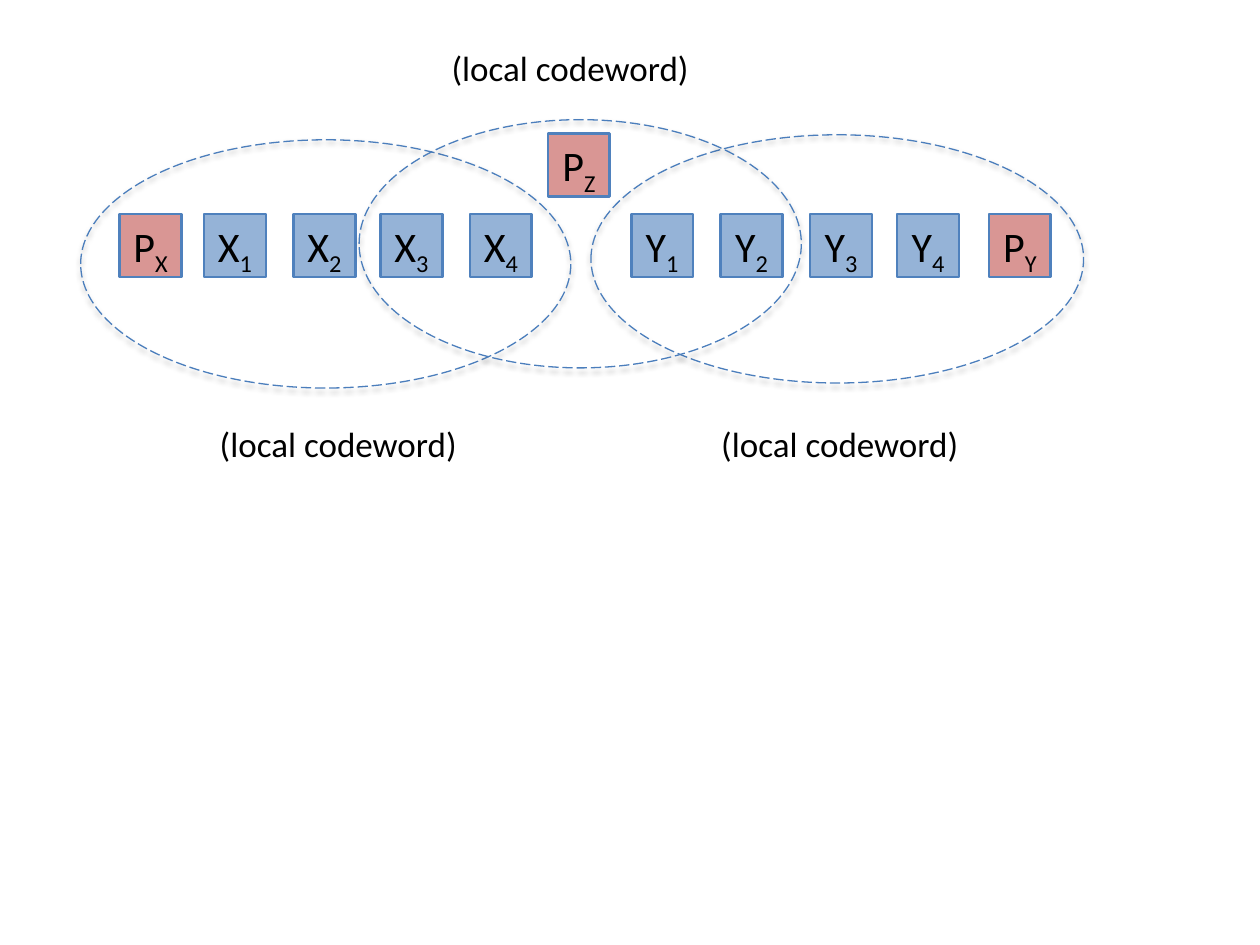
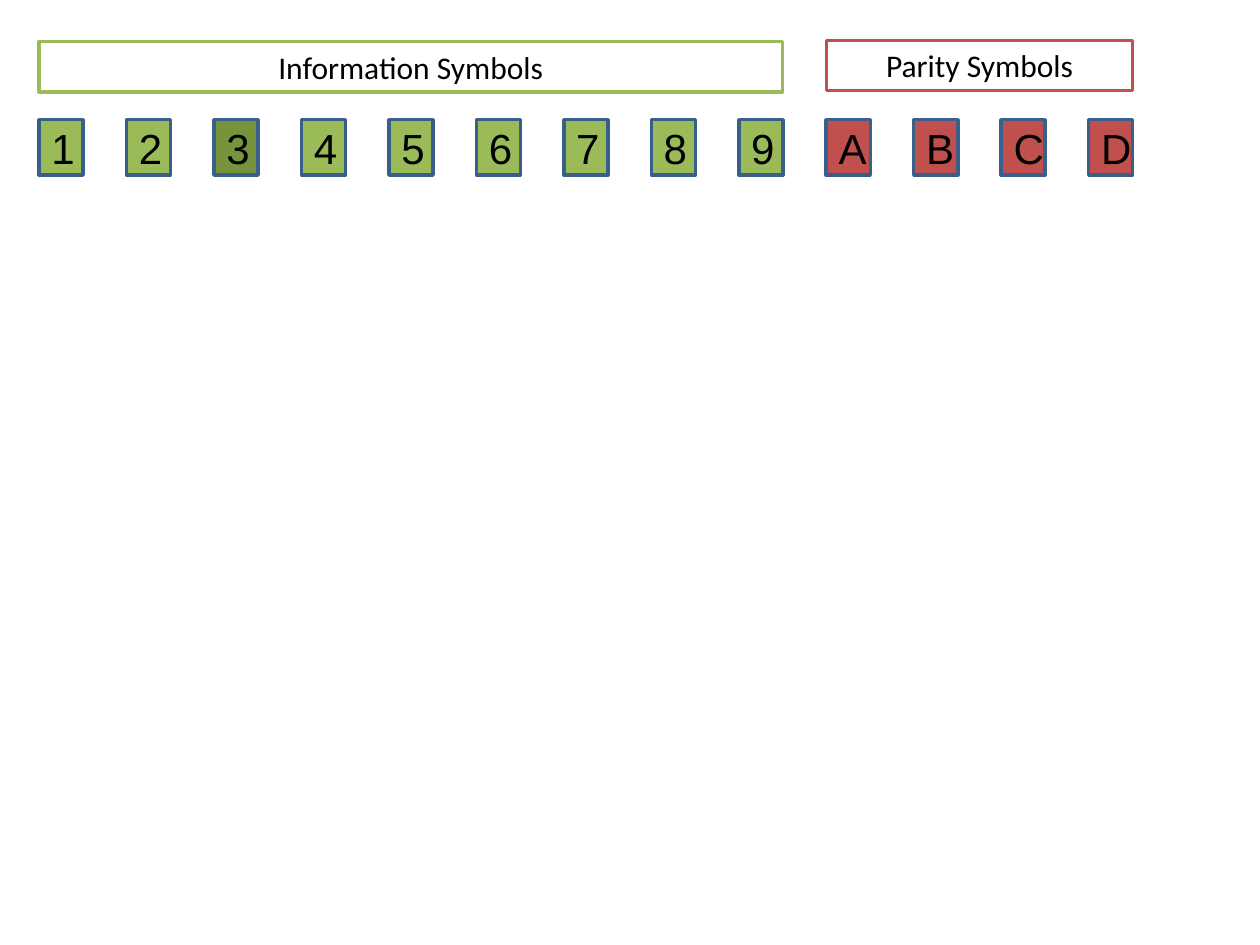
from lxml import etree
from pptx import Presentation
from pptx.dml.color import RGBColor
from pptx.enum import dml, shapes, text
from pptx.oxml.ns import qn
from pptx.util import Inches, Pt

COLORS = {
    "text": "000000",
    "white": "FFFFFF",
    "data": "95B3D7",
    "local_parity": "D99694",
    "box_line": "4F81BD",
    "codeword_line": "4B7EBC",
    "information": "9BBB59",
    "highlight": "77933C",
    "parity": "C0504D",
    "symbol_line": "3A5F8B",
}


def color(name):
    return RGBColor.from_string(COLORS[name])


def write_text(shape, content, subscript="", size=24, font="Calibri",
               align=text.PP_ALIGN.CENTER, anchor=text.MSO_ANCHOR.TOP,
               wrap=True, grow=False):
    frame = shape.text_frame
    frame.word_wrap = wrap
    frame.vertical_anchor = anchor
    if grow:
        frame.auto_size = text.MSO_AUTO_SIZE.SHAPE_TO_FIT_TEXT
    paragraph = frame.paragraphs[0]
    paragraph.alignment = align
    for part, baseline in ((content, None), (subscript, "-25000")):
        if not part:
            continue
        run = paragraph.add_run()
        run.text = part
        run.font.size = Pt(size)
        run.font.name = font
        run.font.color.rgb = color("text")
        if baseline:
            run.font._element.set("baseline", baseline)


def add_outlined(target, kind, left, top, width, height, fill, line, weight):
    shape = target.shapes.add_shape(
        kind, Inches(left), Inches(top), Inches(width), Inches(height))
    shape.shadow.inherit = False
    if fill:
        shape.fill.solid()
        shape.fill.fore_color.rgb = color(fill)
    else:
        shape.fill.background()
    shape.line.color.rgb = color(line)
    shape.line.width = Pt(weight)
    return shape


def add_rectangle(target, left, top, width, height, fill, line, weight=2):
    return add_outlined(target, shapes.MSO_SHAPE.RECTANGLE,
                        left, top, width, height, fill, line, weight)


def add_block(target, left, top, letter, subscript):
    fill = "local_parity" if letter == "P" else "data"
    block = add_rectangle(target, left, top, 0.49, 0.5, fill, "box_line", 1.5)
    write_text(block, letter, subscript, wrap=False, grow=True)


def add_codeword(target, left, top, width):
    ellipse = add_outlined(target, shapes.MSO_SHAPE.OVAL, left, top, width, 1.97,
                           None, "codeword_line", 0.75)
    ellipse.line.dash_style = dml.MSO_LINE.LONG_DASH
    effects = ellipse._element.spPr.find(qn("a:effectLst"))
    shadow = etree.SubElement(
        effects, qn("a:outerShdw"), blurRad=str(Pt(3.1)), dist=str(Pt(1.8)),
        dir="5400000", rotWithShape="0")
    shade = etree.SubElement(shadow, qn("a:srgbClr"), val=COLORS["text"])
    etree.SubElement(shade, qn("a:alpha"), val="35000")


def add_label(target, left, top, width):
    label = target.shapes.add_textbox(
        Inches(left), Inches(top), Inches(width), Inches(0.68))
    write_text(label, "(local codeword)", size=20)


def build_codewords(slide):
    group = slide.shapes.add_group_shape()
    add_label(group, 1.23, 3.3, 2.91)
    blocks = (
        ("PX", 0.95), ("X1", 1.62), ("X2", 2.33), ("X3", 3.02), ("X4", 3.73),
        ("Y1", 5.01), ("Y2", 5.72), ("Y3", 6.43), ("Y4", 7.12), ("PY", 7.85),
    )
    for (letter, subscript), left in blocks:
        add_block(group, left, 1.7, letter, subscript)
    add_codeword(group, 0.64, 1.11, 3.89)
    add_codeword(group, 4.69, 1.07, 3.91)
    add_label(group, 5.24, 3.3, 2.85)
    add_codeword(group, 2.85, 0.95, 3.51)
    add_block(slide, 4.35, 1.06, "P", "Z")
    add_label(slide, 3.07, 0.32, 2.91)


def build_symbols(slide):
    symbols = "123456789ABCD"
    first, last = 0.31, 8.64
    pitch = (last - first) / (len(symbols) - 1)
    group = slide.shapes.add_group_shape()
    for index, symbol in enumerate(symbols):
        fill = "information" if symbol.isdigit() else "parity"
        if symbol == "3":
            fill = "highlight"
        box = add_rectangle(group, first + index * pitch, 0.95, 0.35, 0.44,
                            fill, "symbol_line")
        write_text(box, symbol, font="Arial", align=text.PP_ALIGN.LEFT,
                   anchor=text.MSO_ANCHOR.MIDDLE)
    headers = (
        ("Information Symbols", 0.31, 0.33, 5.9, "information"),
        ("Parity Symbols", 6.56, 0.32, 2.43, "parity"),
    )
    for title, left, top, width, line in headers:
        header = add_rectangle(slide, left, top, width, 0.4, "white", line)
        write_text(header, title, size=18, grow=True)


def main():
    presentation = Presentation()
    presentation.slide_width = Inches(10)
    presentation.slide_height = Inches(7.5)
    blank = presentation.slide_layouts[6]
    for build in (build_codewords, build_symbols):
        build(presentation.slides.add_slide(blank))
    presentation.save("out.pptx")


if __name__ == "__main__":
    main()
